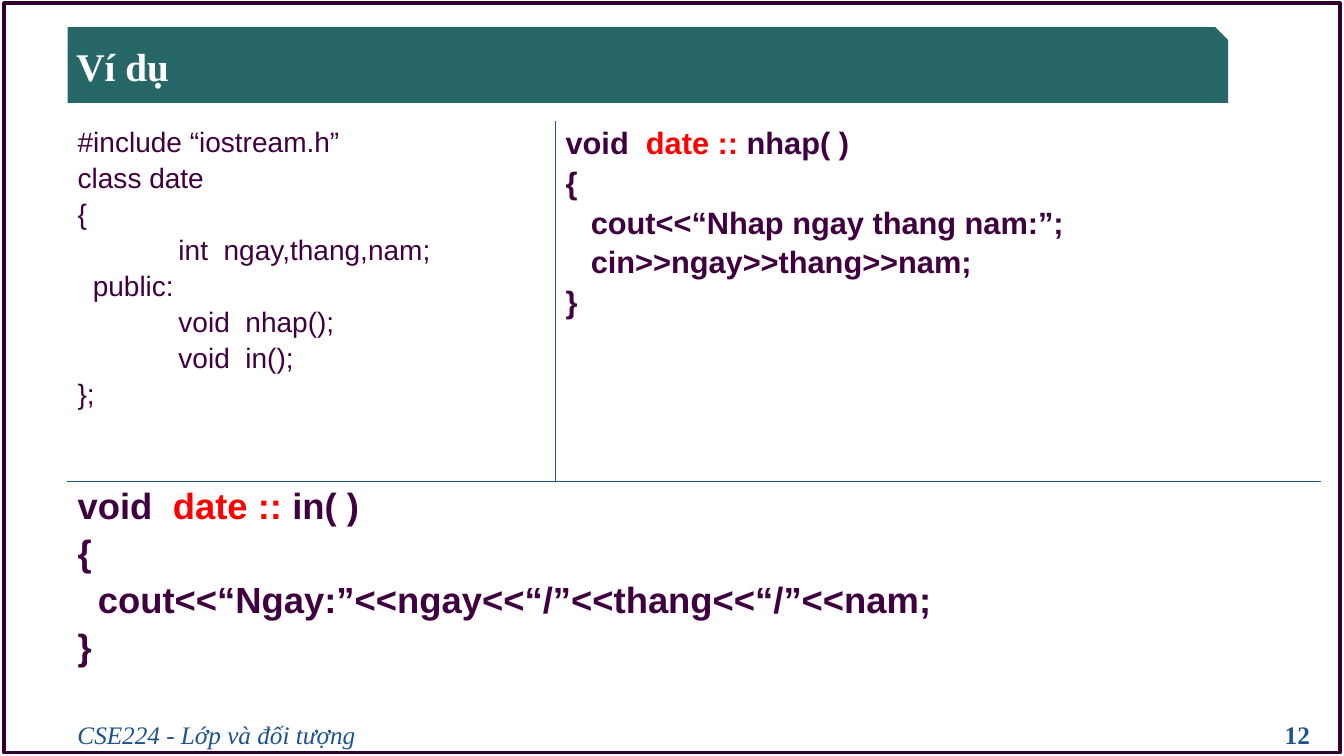
from lxml import etree
from pptx import Presentation
from pptx.dml.color import RGBColor
from pptx.enum.shapes import MSO_SHAPE
from pptx.enum.text import MSO_ANCHOR, PP_ALIGN
from pptx.oxml.ns import qn
from pptx.util import Inches, Pt

SNIP, RECT = MSO_SHAPE.SNIP_1_RECTANGLE, MSO_SHAPE.RECTANGLE
MIDDLE, TOP = MSO_ANCHOR.MIDDLE, MSO_ANCHOR.TOP
LEFT, RIGHT, JUST = PP_ALIGN.LEFT, PP_ALIGN.RIGHT, PP_ALIGN.JUSTIFY
COLORS = {"teal": "135858", "frame": "300030", "blue": "1D528D",
          "code": "400040", "red": "FF0000", "white": "FFFFFF"}
SERIF, SANS = "Times New Roman", "Arial"

CLASS = [(0, "#include “iostream.h”"), (0, "class date"), (0, "{"),
         (1, "int  ngay,thang,nam;"), (0.15, "public:"),
         (1, "void  nhap();"), (1, "void  in();"), (0, "};")]
INPUT = [(0, "void  |date :: |nhap( )"), (0, "{"),
         (0.25, "cout<<“Nhap ngay thang nam:”;"),
         (0.25, "cin>>ngay>>thang>>nam;"), (0, "}")]
PRINT = [(0, "void  |date :: |in( )"), (0, "{"),
         (0.2, "cout<<“Ngay:”<<ngay<<“/”<<thang<<“/”<<nam;"), (0, "}")]


def color(tone):
    return RGBColor.from_string(COLORS[tone])


def add_run(para, text, tone, **form):
    run = para.add_run()
    run.text = text
    run.font.color.rgb = color(tone)
    for key, value in form.items():
        setattr(run.font, key, value)


def add_panel(slide, kind, box):
    shape = slide.shapes.add_shape(kind, *map(Inches, box))
    shape.shadow.inherit = False
    return shape


def add_bar(slide, box):
    bar = add_panel(slide, SNIP, box)
    bar.fill.solid()
    bar.fill.fore_color.rgb = color("teal")
    bar.line.fill.background()
    tint = bar._element.spPr.find(qn("a:solidFill")).find(qn("a:srgbClr"))
    etree.SubElement(tint, qn("a:alpha"), val="91000")


def add_frame(slide, box):
    frame = add_panel(slide, RECT, box)
    frame.fill.background()
    frame.line.color.rgb = color("frame")
    frame.line.width = Pt(2.25)


def add_label(slide, box, text, tone, align=LEFT, anchor=TOP, **form):
    frame = slide.shapes.add_textbox(*map(Inches, box)).text_frame
    frame.word_wrap = True
    frame.vertical_anchor = anchor
    para = frame.paragraphs[0]
    para.alignment = align
    add_run(para, text, tone, name=SERIF, **form)


def add_edge(cell, side):
    edge = etree.SubElement(cell._tc.get_or_add_tcPr(), qn("a:ln" + side),
                            w=str(Pt(1)))
    fill = etree.SubElement(edge, qn("a:solidFill"))
    etree.SubElement(fill, qn("a:srgbClr"), val=COLORS["blue"])


def fill_cell(cell, lines, size, bold, sides):
    for side in sides:
        add_edge(cell, side)
    cell.fill.background()
    frame = cell.text_frame
    for row, (indent, line) in enumerate(lines):
        para = frame.add_paragraph() if row else frame.paragraphs[0]
        para.alignment = JUST
        para.space_before = Pt(round(size * 0.17, 1))
        if indent:
            para._p.get_or_add_pPr().set("marL", str(Inches(indent)))
        for part, text in enumerate(line.split("|")):
            add_run(para, text, "red" if part == 1 else "code",
                    name=SANS, size=Pt(size), bold=bold)


def add_code(slide, box, widths, heights):
    table = slide.shapes.add_table(2, 2, *map(Inches, box)).table
    table.first_row = table.horz_banding = False
    for col, width in zip(table.columns, widths):
        col.width = Inches(width)
    for row, height in zip(table.rows, heights):
        row.height = Inches(height)
    table.cell(1, 0).merge(table.cell(1, 1))
    fill_cell(table.cell(0, 0), CLASS, 20, False, "RB")
    fill_cell(table.cell(0, 1), INPUT, 22, True, "LB")
    fill_cell(table.cell(1, 0), PRINT, 26, True, "T")
    fill_cell(table.cell(1, 1), [], 26, True, "T")


def main():
    deck = Presentation()
    deck.slide_width, deck.slide_height = Inches(13.33), Inches(7.5)
    slide = deck.slides.add_slide(deck.slide_layouts[6])
    add_bar(slide, (0.67, 0.27, 11.51, 0.75))
    add_frame(slide, (0.04, 0.03, 13.25, 7.44))
    add_code(slide, (0.67, 1.21, 12.43, 5.75), (4.84, 7.59), (3.57, 2.18))
    add_label(slide, (0.66, 0.34, 11.44, 0.62), "Ví dụ", "white",
              anchor=MIDDLE, size=Pt(28), bold=True)
    add_label(slide, (0.67, 7.09, 4.22, 0.35), "CSE224 - Lớp và đối tượng",
              "blue", size=Pt(18), italic=True)
    add_label(slide, (9.98, 7.09, 3.11, 0.35), "12", "blue", RIGHT,
              size=Pt(18), bold=True)
    deck.save("out.pptx")


if __name__ == "__main__":
    main()
